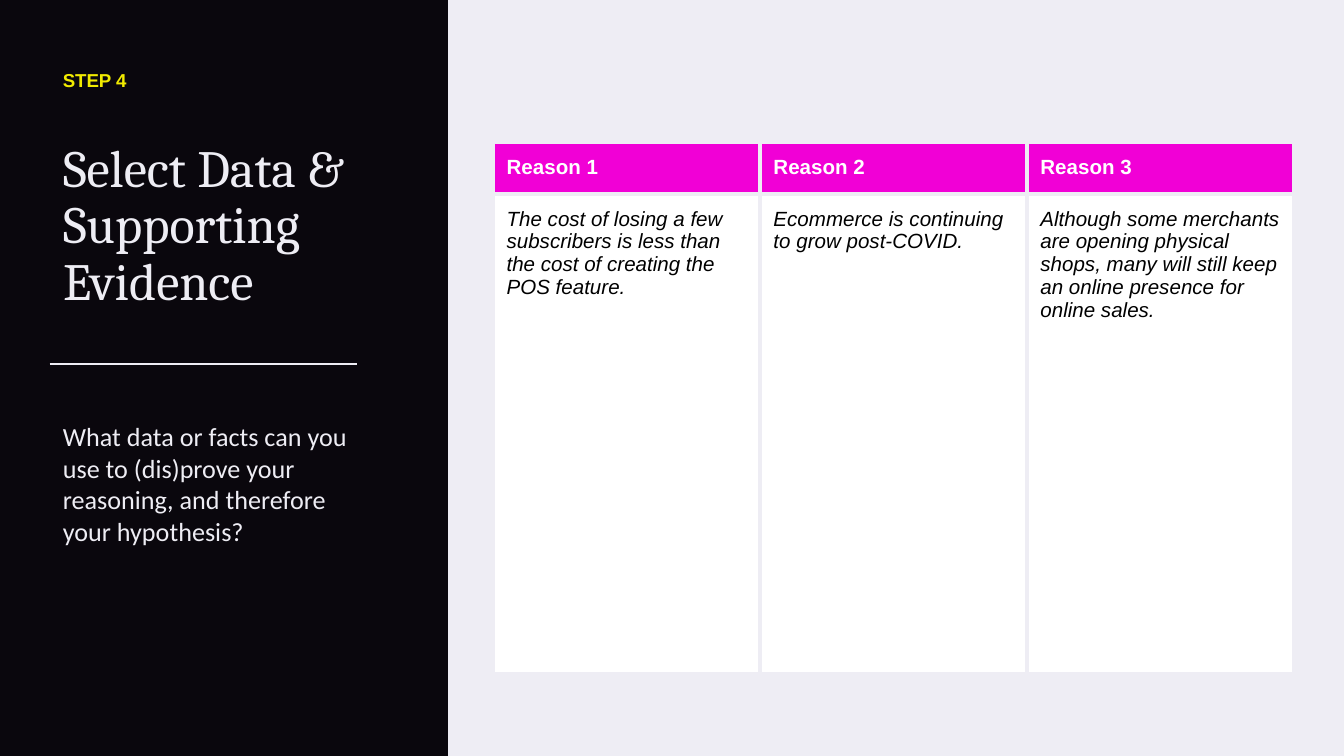
from lxml import etree
from pptx import Presentation
from pptx.dml.color import RGBColor
from pptx.enum.shapes import MSO_CONNECTOR, MSO_SHAPE
from pptx.enum.text import MSO_ANCHOR, MSO_AUTO_SIZE, PP_ALIGN
from pptx.oxml.ns import qn
from pptx.util import Pt

RECTANGLE = MSO_SHAPE.RECTANGLE
STRAIGHT = MSO_CONNECTOR.STRAIGHT
TOP = MSO_ANCHOR.TOP
LEFT = PP_ALIGN.LEFT
NO_FIT = MSO_AUTO_SIZE.NONE

LAVENDER = RGBColor(0xEE, 0xED, 0xF4)
NIGHT = RGBColor(0x0A, 0x07, 0x0D)
YELLOW = RGBColor(0xF2, 0xEB, 0x00)
MAGENTA = RGBColor(0xF1, 0x00, 0xD6)
WHITE = RGBColor(0xFF, 0xFF, 0xFF)
BLACK = RGBColor(0x00, 0x00, 0x00)

INSET = Pt(7.2)


def write(frame, text, font_name, size, color, bold=False, italic=False):
    frame.word_wrap = True
    paragraph = frame.paragraphs[0]
    paragraph.alignment = LEFT
    run = paragraph.add_run()
    run.text = text
    run.font.name = font_name
    run.font.size = Pt(size)
    run.font.color.rgb = color
    run.font.bold = bold
    run.font.italic = italic
    return paragraph


def set_insets(holder):
    holder.margin_left = holder.margin_right = INSET
    holder.margin_top = holder.margin_bottom = INSET
    holder.vertical_anchor = TOP


presentation = Presentation()
presentation.slide_width = Pt(720)
presentation.slide_height = Pt(405)
slide = presentation.slides.add_slide(presentation.slide_layouts[5])
slide.background.fill.solid()
slide.background.fill.fore_color.rgb = LAVENDER

panel = slide.shapes.add_shape(RECTANGLE, Pt(0), Pt(0), Pt(240), Pt(405))
panel.shadow.inherit = False
panel.fill.solid()
panel.fill.fore_color.rgb = NIGHT
panel.line.fill.background()

title = slide.shapes.title
panel._element.addnext(title._element)
title.left, title.top, title.width, title.height = Pt(26.6), Pt(69), Pt(193), Pt(104.4)
set_insets(title.text_frame)
title.text_frame.auto_size = NO_FIT
heading = write(title.text_frame, "Select Data & Supporting Evidence", "Cambria", 28, LAVENDER)
heading.line_spacing = 0.9

step = slide.shapes.add_textbox(Pt(26.6), Pt(28), Pt(201.6), Pt(33))
set_insets(step.text_frame)
step_label = write(step.text_frame, "STEP 4", "Arial", 10, YELLOW, bold=True)
step_label.line_spacing = 1.15
step_label.space_after = Pt(12)

question = slide.shapes.add_textbox(Pt(26.6), Pt(218.2), Pt(177), Pt(109.4))
set_insets(question.text_frame)
write(
    question.text_frame,
    "What data or facts can you use to (dis)prove your reasoning, and therefore your hypothesis?",
    "Calibri", 14, LAVENDER,
)

divider = slide.shapes.add_connector(STRAIGHT, Pt(26.6), Pt(195.1), Pt(191.5), Pt(195.1))
divider.line.color.rgb = LAVENDER
divider.line.width = Pt(0.75)
etree.SubElement(divider._element.spPr, qn("a:effectLst"))

reasons = [
    ("Reason 1", "The cost of losing a few subscribers is less than the cost of creating the POS feature."),
    ("Reason 2", "Ecommerce is continuing to grow post-COVID."),
    ("Reason 3", "Although some merchants are opening physical shops, many will still keep an online presence for online sales."),
]
table = slide.shapes.add_table(2, 3, Pt(264.2), Pt(76.3), Pt(429), Pt(284.4)).table
table.rows[0].height = Pt(27.4)
table.rows[1].height = Pt(257)
for column, texts in enumerate(reasons):
    table.columns[column].width = Pt(143)
    for row, text in enumerate(texts):
        is_header = row == 0
        cell = table.cell(row, column)
        set_insets(cell)
        write(
            cell.text_frame, text, "Arial", 11, WHITE if is_header else BLACK,
            bold=is_header, italic=not is_header,
        )
        cell_properties = cell._tc.get_or_add_tcPr()
        for side in ("lnL", "lnR", "lnT", "lnB"):
            border = etree.SubElement(cell_properties, qn(f"a:{side}"), w=str(Pt(2.25)))
            border_fill = etree.SubElement(border, qn("a:solidFill"))
            etree.SubElement(border_fill, qn("a:srgbClr"), val=str(LAVENDER))
        cell.fill.solid()
        cell.fill.fore_color.rgb = MAGENTA if is_header else WHITE

presentation.save("out.pptx")
